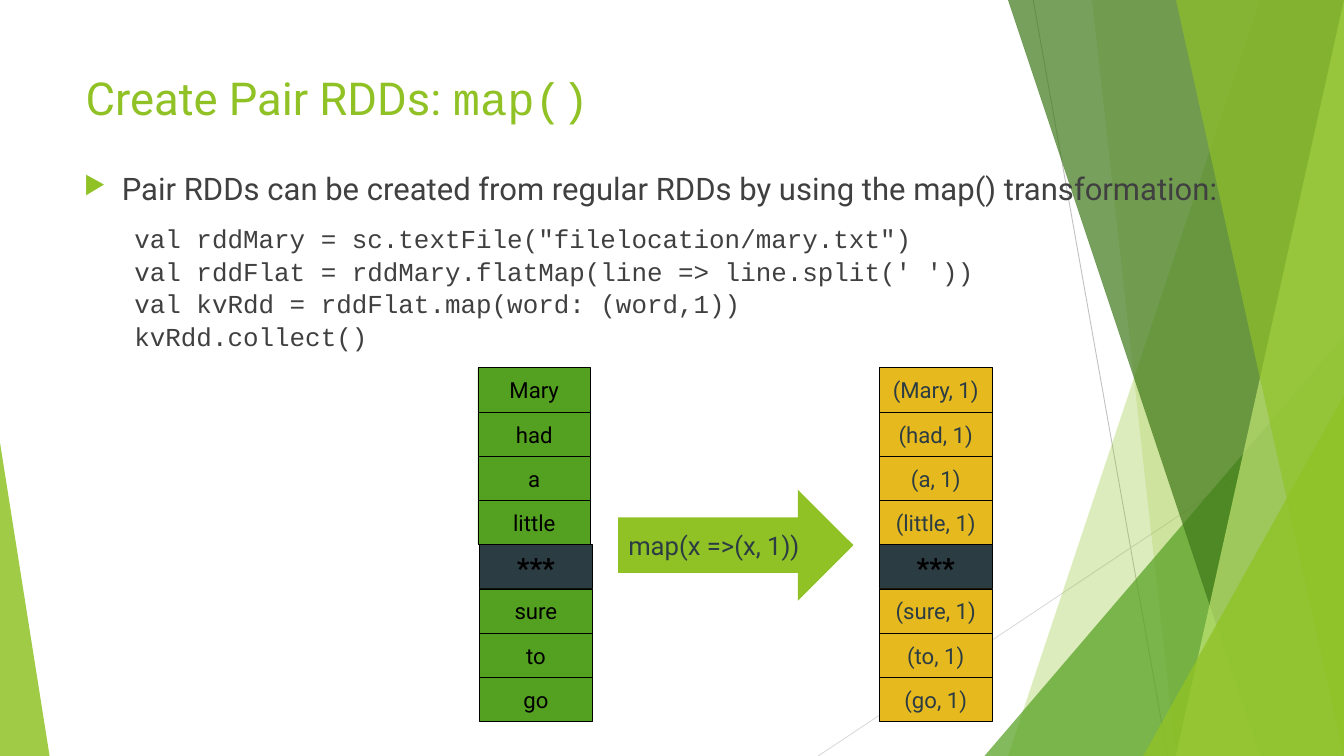
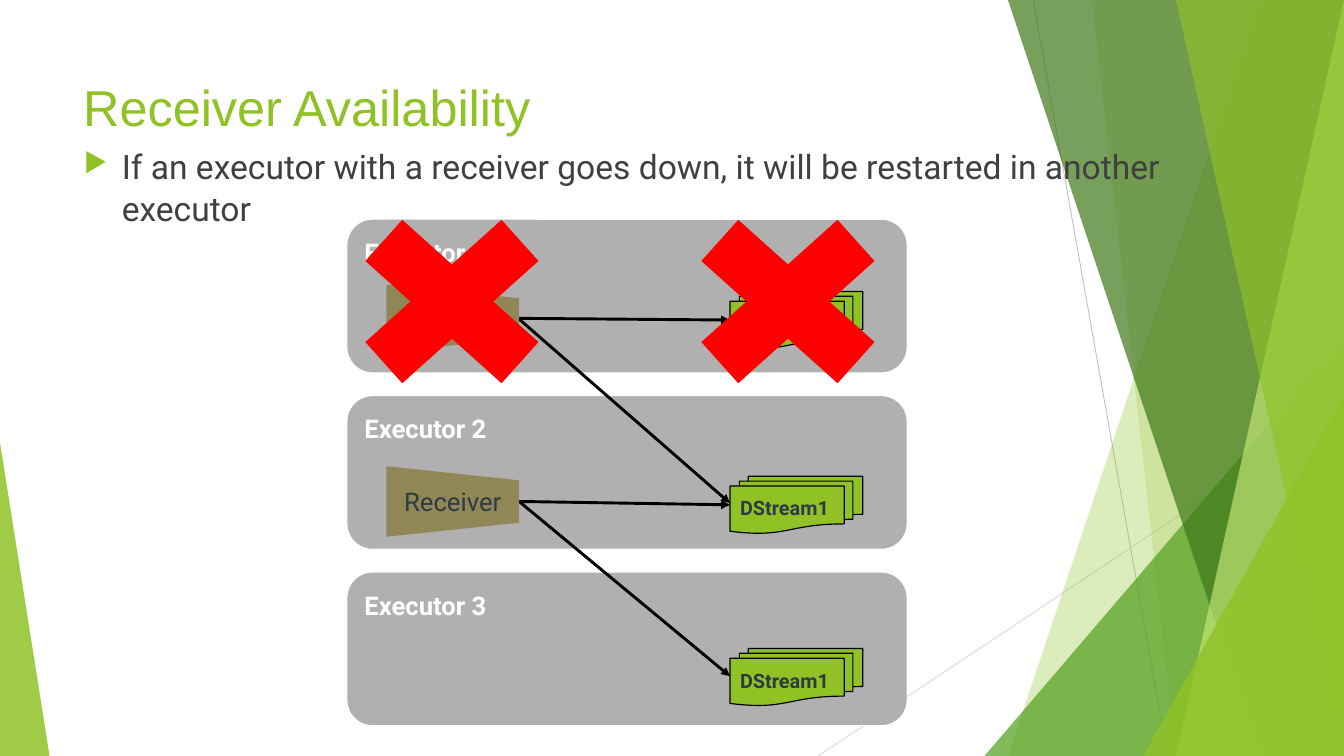
"""Two Spark slides, on pair RDDs and receiver availability, laid out on a 16 by 9 grid."""
from lxml.etree import SubElement
from pptx import Presentation
from pptx.dml.color import RGBColor
from pptx.enum.shapes import MSO_CONNECTOR, MSO_SHAPE
from pptx.enum.text import MSO_ANCHOR, MSO_AUTO_SIZE, PP_ALIGN
from pptx.oxml.ns import qn
from pptx.util import Inches, Pt

LIME = RGBColor(0x90, 0xC2, 0x26)
GREEN = RGBColor(0x54, 0xA0, 0x21)
FOREST = RGBColor(0x3F, 0x78, 0x19)
PALE = RGBColor(0xC0, 0xE4, 0x74)
GOLD = RGBColor(0xE6, 0xB9, 0x1E)
OLIVE = RGBColor(0x91, 0x86, 0x55)
SLATE = RGBColor(0x2C, 0x3C, 0x43)
TEXT = RGBColor(0x40, 0x40, 0x40)
GRAY = RGBColor(0xB0, 0xB0, 0xB0)
SILVER = RGBColor(0xBF, 0xBF, 0xBF)
MIST = RGBColor(0xD9, 0xD9, 0xD9)
RED = RGBColor(0xFF, 0, 0)
BLACK = RGBColor(0, 0, 0)
WHITE = RGBColor(0xFF, 0xFF, 0xFF)
SANS, MONO = "Roboto", "Courier New"
COLS, ROWS = 16, 9

prs = Presentation()
prs.slide_width, prs.slide_height = Inches(COLS), Inches(ROWS)
U = prs.slide_width // COLS


def add_block(s, kind, box, fill=None, line=None, width=1, text="", color=SLATE,
              inset=0.12, anchor=MSO_ANCHOR.TOP, align=PP_ALIGN.LEFT, **fmt):
    """Add a preset shape, or a text box when kind is None, placed in grid units."""
    box = [int(v * U) for v in box]
    if kind is None:
        sp = s.shapes.add_textbox(*box)
    else:
        sp = s.shapes.add_shape(kind, *box)
        sp.shadow.inherit = False
        sp.fill.solid()
        sp.fill.fore_color.rgb = fill
        if line is None:
            sp.line.fill.background()
        else:
            sp.line.color.rgb, sp.line.width = line, Pt(width)
    if text:
        tf = sp.text_frame
        tf.word_wrap, tf.vertical_anchor = True, anchor
        for side in ("left", "top", "right", "bottom"):
            setattr(tf, f"margin_{side}", Inches(inset))
        p = tf.paragraphs[0]
        p.alignment = align
        r = p.add_run()
        r.text = text
        r.font.color.rgb = color
        for name, value in {"name": SANS, **fmt}.items():
            setattr(r.font, name, value)
    return sp


def add_wire(s, start, end, color, width, arrow=False):
    """Join two grid points with a straight line."""
    c = s.shapes.add_connector(MSO_CONNECTOR.STRAIGHT, *[int(v * U) for v in start + end])
    c.line.color.rgb, c.line.width = color, Pt(width)
    pr = c.element.spPr
    if arrow:
        SubElement(pr.find(qn("a:ln")), qn("a:tailEnd"), type="triangle")
    SubElement(pr, qn("a:effectLst"))


layout = prs.slide_layouts.get_by_name("Title Only")
s1, s2 = [prs.slides.add_slide(layout) for _ in range(2)]

add_wire(s1, (12.3, 0), (13.9, ROWS), SILVER, 0.75)
add_wire(s1, (COLS, 4.83), (9.74, ROWS), MIST, 0.75)
facets = [
    (LIME, 30, (14.73, 12.05)),
    (LIME, 20, (12.6, 14.19)),
    (GREEN, 72, (11.72, 4, 4.28, 5, 1)),
    (FOREST, 70, (12.25, 15.49)),
    (PALE, 70, (15.64, 14.3)),
    (LIME, 65, (14.36, 15.81)),
    (LIME, 80, (13.61, 4.71, 2.39, 4.29, 1)),
    (LIME, 85, (0, 5.27, 0.59, 3.73, 0)),
]
for color, opacity, geometry in facets:
    if len(geometry) == 2:
        top, bottom = geometry
        fb = s1.shapes.build_freeform(top, 0, scale=U)
        fb.add_line_segments([(COLS, 0), (COLS, ROWS), (bottom, ROWS)], close=True)
        sp = fb.convert_to_shape()
        sp.shadow.inherit = False
        sp.fill.solid()
        sp.fill.fore_color.rgb = color
        sp.line.fill.background()
    else:
        sp = add_block(s1, MSO_SHAPE.ISOSCELES_TRIANGLE, geometry[:4], color)
        sp.adjustments[0] = geometry[4]
    clr = sp.element.spPr.find(qn("a:solidFill"))[0]
    SubElement(clr, qn("a:alpha"), val=str(opacity * 1000))

decor = [sp for sp in s1.shapes if not sp.is_placeholder]
for i, sp in enumerate(decor):
    sp.element.xpath(".//p:cNvPr")[0].set("id", str(20 + i))
    layout.shapes.element.insert(2 + i, sp.element)

pages = [
    (s1, (0.92, 0.73, 14.4, 0.54), 38.9, [("Create Pair RDDs: ", SANS), ("map()", MONO)],
     (0.92, 1.92, 14.4, 2.75), 26.6,
     "Pair RDDs can be created from regular RDDs by using the map() transformation:"),
    (s2, (0.89, 0.8, 11.28, 1.73), 43.2, [("Receiver Availability", "Arial")],
     (0.92, 1.63, 14.4, 1.1), 28.8,
     "If an executor with a receiver goes down, it will be restarted in another executor"),
]
bodies = []
for s, title_box, title_size, runs, body_box, body_size, bullet in pages:
    title = s.shapes.title
    for name, value in zip(("left", "top", "width", "height"), title_box):
        setattr(title, name, int(value * U))
    tf = title.text_frame
    frame = {"auto_size": MSO_AUTO_SIZE.NONE, "vertical_anchor": MSO_ANCHOR.TOP,
             "word_wrap": True, "margin_left": Inches(0.1), "margin_top": Inches(0.1)}
    for name, value in frame.items():
        setattr(tf, name, value)
    p = tf.paragraphs[0]
    p.alignment = PP_ALIGN.LEFT
    for text, font in runs:
        r = p.add_run()
        r.text = text
        r.font.name, r.font.size, r.font.color.rgb = font, Pt(title_size), LIME

    body = add_block(s, None, body_box, text=bullet, color=TEXT, inset=0.08, size=Pt(body_size))
    p = body.text_frame.paragraphs[0]
    p.line_spacing = 1.05
    pr = p._p.get_or_add_pPr()
    pr.set("marL", str(Inches(0.45)))
    pr.set("indent", str(Inches(-0.45)))
    SubElement(SubElement(pr, qn("a:buClr")), qn("a:srgbClr"), val=str(LIME))
    SubElement(pr, qn("a:buSzPct"), val="80000")
    SubElement(pr, qn("a:buChar"), char="▶")
    bodies.append(body)

code = """val rddMary = sc.textFile("filelocation/mary.txt")
val rddFlat = rddMary.flatMap(line => line.split(' '))
val kvRdd = rddFlat.map(word: (word,1))
kvRdd.collect()"""
p = bodies[0].text_frame.add_paragraph()
p.space_before, p.line_spacing = Pt(12), 1.05
p._p.get_or_add_pPr().set("marL", str(Inches(0.6)))
for i, text in enumerate(code.splitlines()):
    if i:
        p.add_line_break()
    r = p.add_run()
    r.text = text
    r.font.name, r.font.size, r.font.color.rgb = MONO, Pt(22.2), TEXT

words = ["Mary", "had", "a", "little", "***", "sure", "to", "go"]
row_h = 4.21 / len(words)
for i, word in enumerate(words):
    gap = word == "***"
    pair = word if gap else f"({word}, 1)"
    word_x = 5.69 if i < 4 else 5.71
    for x, text, fill, color in ((word_x, word, GREEN, BLACK), (10.47, pair, GOLD, SLATE)):
        add_block(s1, MSO_SHAPE.RECTANGLE, (x, 4.38 + i * row_h, 1.34, row_h),
                  SLATE if gap else fill, BLACK, 0.75, text, BLACK if gap else color,
                  0.1, MSO_ANCHOR.MIDDLE, PP_ALIGN.CENTER,
                  size=Pt(24 if gap else 19), bold=gap)
add_block(s1, MSO_SHAPE.RIGHT_ARROW, (7.36, 5.83, 2.8, 1.32), LIME, text="map(x =>(x, 1))",
          anchor=MSO_ANCHOR.MIDDLE, size=Pt(22))

for i in range(3):
    add_block(s2, MSO_SHAPE.ROUNDED_RECTANGLE, (4.13, 2.61 + 2.1 * i, 6.67, 1.83), GRAY, WHITE,
              text=f"Executor {i + 1}", color=WHITE, size=Pt(22), bold=True)
for start, ends in (((6.17, 3.79), (3.81, 5.99)), ((6.18, 5.97), (6.01, 8.05))):
    for y in ends:
        add_wire(s2, start, (8.69, y), BLACK, 2.5, arrow=True)
for mid, depth in ((3.79, 0.8), (5.97, 0.84)):
    sp = add_block(s2, MSO_SHAPE.FLOWCHART_MANUAL_OPERATION,
                   (5.39 - depth / 2, mid - 0.79, depth, 1.58), OLIVE)
    sp.rotation = 270
    add_block(s2, None, (4.6, mid - 0.13, 1.58, 0.26), text="Receiver", inset=0.1,
              anchor=MSO_ANCHOR.MIDDLE, align=PP_ALIGN.CENTER, size=Pt(22))
for y, text in ((3.47, ""), (5.67, "DStream1"), (7.72, "DStream1")):
    add_block(s2, MSO_SHAPE.FLOWCHART_MULTIDOCUMENT, (8.69, y, 1.58, 0.68), LIME, BLACK,
              text=text, size=Pt(17), bold=True)
for x in (3.82, 7.82):
    add_block(s2, MSO_SHAPE.MATH_MULTIPLY, (x, 2.19, 3.12, 2.8), RED)

prs.save("out.pptx")
